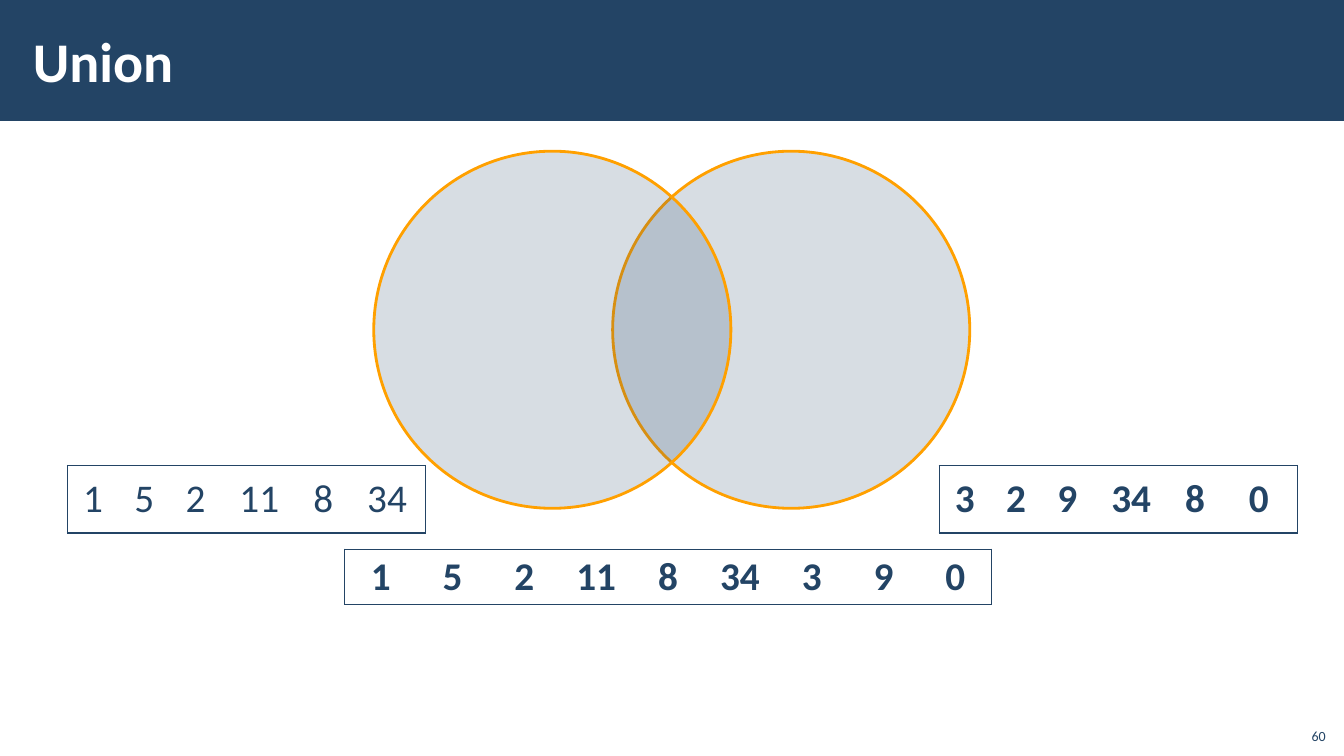
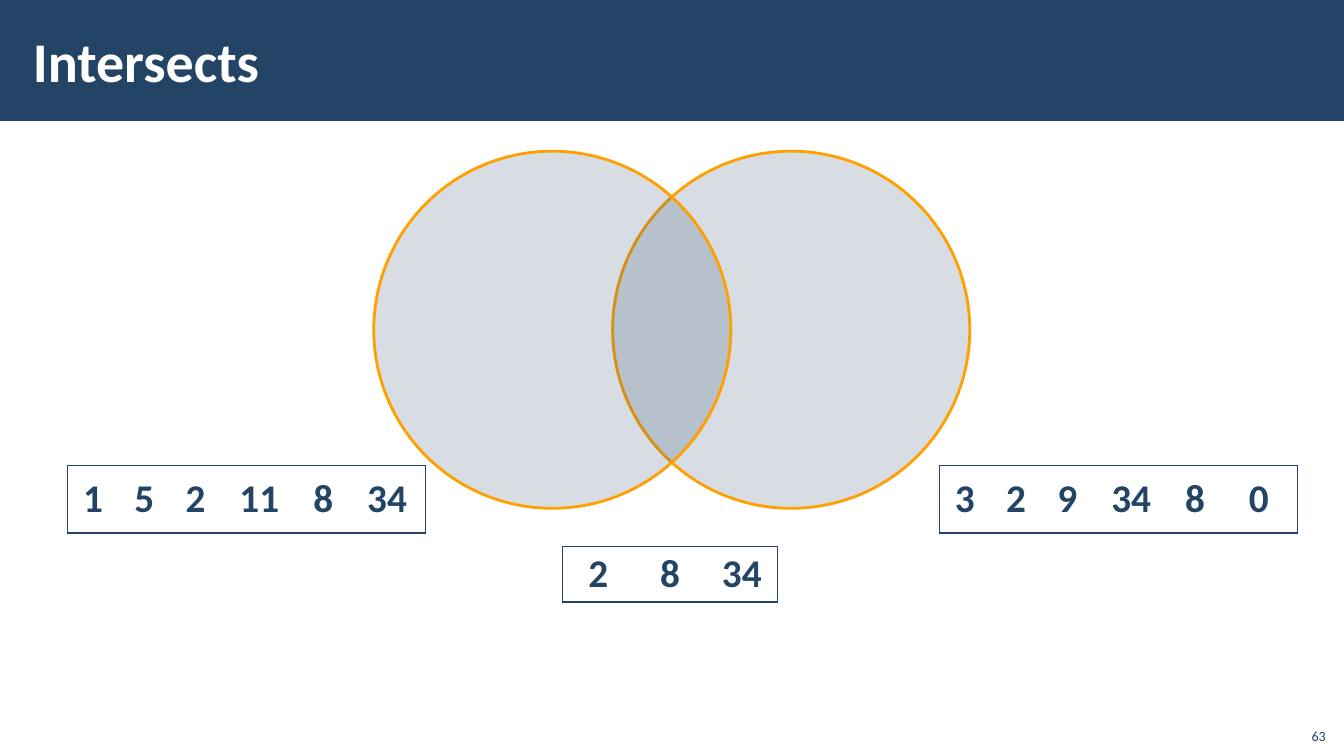
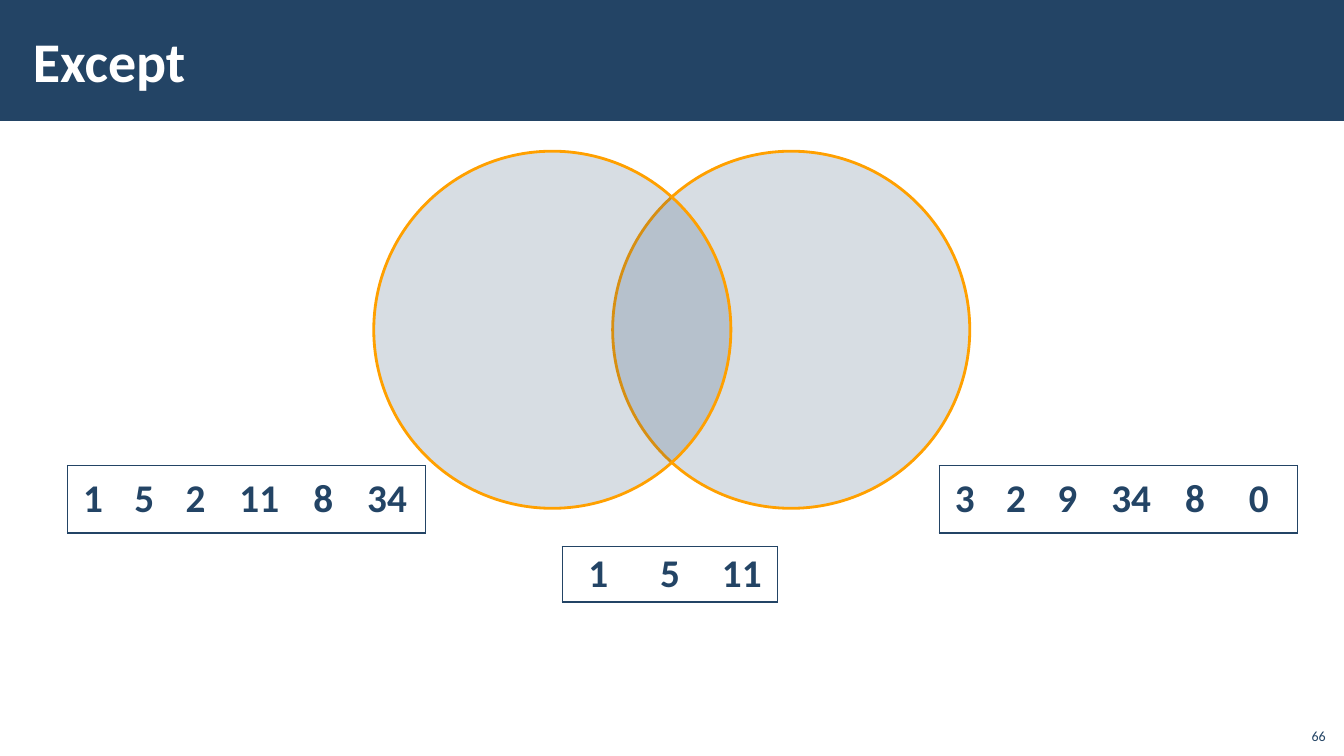
from lxml.etree import SubElement
from pptx import Presentation
from pptx.dml.color import RGBColor
from pptx.enum.shapes import MSO_SHAPE
from pptx.enum.text import MSO_ANCHOR, MSO_AUTO_SIZE, PP_ALIGN
from pptx.oxml import parse_xml
from pptx.oxml.ns import nsdecls, qn
from pptx.util import Cm, Pt

NAVY = RGBColor(0x23, 0x44, 0x65)
ORANGE = RGBColor(0xFF, 0xA0, 0x00)
WHITE = RGBColor(0xFF, 0xFF, 0xFF)
FONT = "Calibri"

SLIDE_WIDTH, SLIDE_HEIGHT = 33.87, 19.05
BAND_HEIGHT = 3.05
DIAMETER = 9
CIRCLE_STEP = 6.02
SET_WIDTHS = [1.29, 1.29, 1.29, 1.93, 1.29, 1.93]
SET_HEIGHT = 1.7
RESULT_COLUMN = 1.81
RESULT_HEIGHT = 1.4

FIRST_SET = ["1", "5", "2", "11", "8", "34"]
SECOND_SET = ["3", "2", "9", "34", "8", "0"]
OPERATIONS = [
    ("Union", "60", False, ["1", "5", "2", "11", "8", "34", "3", "9", "0"], (8.69, 13.84)),
    ("Intersects", "63", True, ["2", "8", "34"], (14.17, 13.77)),
    ("Except", "66", True, ["1", "5", "11"], (14.17, 13.77)),
]


def format_text(paragraph, size, color, bold=False, alignment=PP_ALIGN.LEFT):
    paragraph.alignment = alignment
    for run in paragraph.runs:
        run.font.name = FONT
        run.font.size = Pt(size)
        run.font.bold = bold
        run.font.color.rgb = color


def add_filled_shape(slide, kind, left, top, width, height):
    shape = slide.shapes.add_shape(kind, Cm(left), Cm(top), Cm(width), Cm(height))
    shape.shadow.inherit = False
    shape.fill.solid()
    shape.fill.fore_color.rgb = NAVY
    return shape


def add_layout_band(slide):
    band = add_filled_shape(slide, MSO_SHAPE.RECTANGLE, 0, 0, SLIDE_WIDTH, BAND_HEIGHT)
    band.line.fill.background()
    slide.slide_layout.shapes.element.insert(2, band.element)


def place_title(slide, text, left, top, width, height):
    title = slide.shapes.title
    title.left, title.top, title.width, title.height = Cm(left), Cm(top), Cm(width), Cm(height)
    frame = title.text_frame
    frame.text = text
    frame.auto_size = MSO_AUTO_SIZE.NONE
    frame.vertical_anchor = MSO_ANCHOR.MIDDLE
    frame.margin_left = frame.margin_right = Cm(0.3)
    frame.margin_top = frame.margin_bottom = Cm(0.1)
    format_text(frame.paragraphs[0], 40, WHITE, bold=True)


def add_slide_number(slide, number, left, top, width, height):
    box = slide.shapes.add_textbox(Cm(left), Cm(top), Cm(width), Cm(height))
    frame = box.text_frame
    frame.word_wrap = True
    frame.vertical_anchor = MSO_ANCHOR.BOTTOM
    frame.text = number
    format_text(frame.paragraphs[0], 10, NAVY, alignment=PP_ALIGN.RIGHT)


def add_venn_diagram(slide, left, top):
    for offset in (CIRCLE_STEP, 0):
        circle = add_filled_shape(slide, MSO_SHAPE.OVAL, left + offset, top, DIAMETER, DIAMETER)
        color = circle.fill._xPr.find(qn("a:solidFill"))[0]
        SubElement(color, qn("a:alpha"), val="18000")
        circle.line.color.rgb = ORANGE
        circle.line.width = Pt(2)


def set_borders(cell, visible_sides):
    properties = cell._tc.get_or_add_tcPr()
    for index, side in enumerate("LRTB"):
        paint = f'<a:solidFill><a:srgbClr val="{NAVY}"/></a:solidFill>'
        if side not in visible_sides:
            paint = "<a:noFill/>"
        border = parse_xml(f'<a:ln{side} {nsdecls("a")} w="{Pt(1)}">{paint}</a:ln{side}>')
        properties.insert(index, border)


def add_number_row(slide, values, widths, left, top, height, bold=True):
    frame = slide.shapes.add_table(
        1, len(values), Cm(left), Cm(top), Cm(sum(widths)), Cm(height))
    table = frame.table
    table.first_row = table.horz_banding = False
    table.rows[0].height = Cm(height)
    for index, (value, width) in enumerate(zip(values, widths)):
        table.columns[index].width = Cm(width)
        cell = table.cell(0, index)
        cell.fill.background()
        cell.vertical_anchor = MSO_ANCHOR.MIDDLE
        cell.margin_left = cell.margin_right = Cm(0.33)
        cell.margin_top = cell.margin_bottom = Cm(0.12)
        paragraph = cell.text_frame.paragraphs[0]
        paragraph.text = value
        paragraph.line_spacing = 0.95
        format_text(paragraph, 28, NAVY, bold, PP_ALIGN.CENTER)
        sides = "TB"
        if index == 0:
            sides += "L"
        if index == len(values) - 1:
            sides += "R"
        set_borders(cell, sides)


def build_operation_slide(slide, name, number, first_bold, result, result_corner):
    place_title(slide, name, 0.53, 0.28, 27, 2.46)
    add_slide_number(slide, number, 32.64, 18.08, 1.02, 0.81)
    add_venn_diagram(slide, 9.42, 3.81)
    add_number_row(slide, FIRST_SET, SET_WIDTHS, 1.7, 11.73, SET_HEIGHT, first_bold)
    add_number_row(slide, SECOND_SET, SET_WIDTHS, 23.67, 11.73, SET_HEIGHT)
    add_number_row(slide, result, [RESULT_COLUMN] * len(result), *result_corner, RESULT_HEIGHT)


def main():
    presentation = Presentation()
    presentation.slide_width = Cm(SLIDE_WIDTH)
    presentation.slide_height = Cm(SLIDE_HEIGHT)
    layout = presentation.slide_layouts[5]
    for index, operation in enumerate(OPERATIONS):
        slide = presentation.slides.add_slide(layout)
        if index == 0:
            add_layout_band(slide)
        build_operation_slide(slide, *operation)
    presentation.save("out.pptx")


if __name__ == "__main__":
    main()
